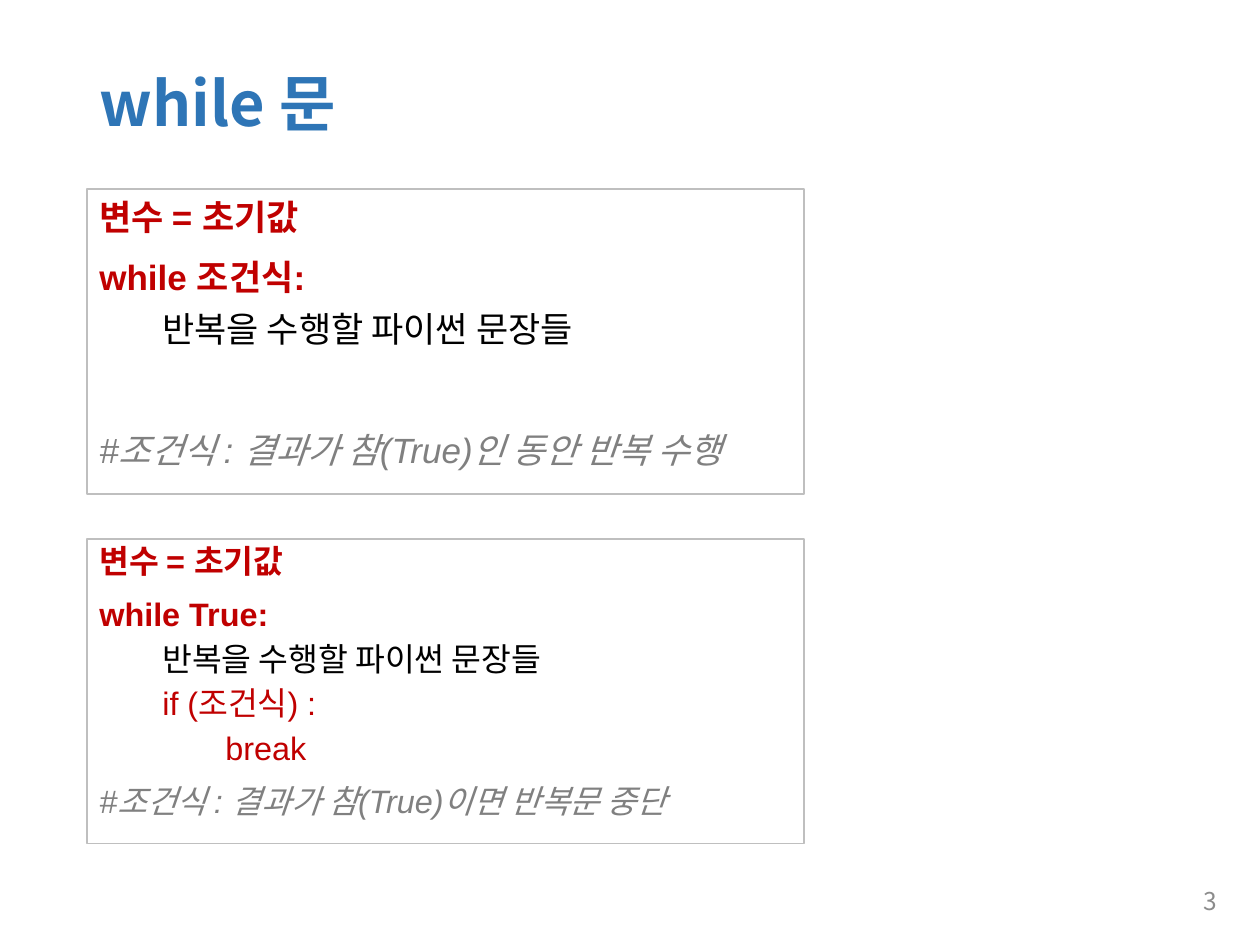
from lxml import etree
from pptx import Presentation
from pptx import util as u
from pptx.dml import color
from pptx.enum import shapes, text
from pptx.oxml import ns

PIXEL = 914400 // 126
COLORS = {
    "title": "2E75B6",
    "keyword": "C00000",
    "body": "000000",
    "comment": "808080",
    "border": "BFBFBF",
    "number": "8C8C8C",
}
KOREAN = "Noto Sans CJK KR"
STYLES = {
    "keyword": dict(bold=True, italic=False),
    "body": dict(bold=False, italic=False),
    "comment": dict(bold=False, italic=True),
}
INDENT = 63


def rgb(name):
    return color.RGBColor.from_string(COLORS[name])


def set_attributes(target, values):
    for name, value in values.items():
        setattr(target, name, value)


def place(shape, box):
    names = ("left", "top", "width", "height")
    set_attributes(shape, {name: value * PIXEL for name, value in zip(names, box)})


def write(paragraph, words, color_name, latin, size, **font_values):
    run = paragraph.add_run()
    run.text = words
    run.font.color.rgb = rgb(color_name)
    set_attributes(run.font, dict(name=latin, size=u.Pt(size), **font_values))
    east_asian = etree.SubElement(run.font._element, ns.qn("a:ea"))
    east_asian.set("typeface", KOREAN)


def add_title(slide, box, words):
    title = slide.shapes.title
    place(title, box)
    frame = title.text_frame
    set_attributes(frame, dict(
        vertical_anchor=text.MSO_ANCHOR.MIDDLE, word_wrap=True,
        auto_size=text.MSO_AUTO_SIZE.NONE))
    paragraph = frame.paragraphs[0]
    set_attributes(paragraph, dict(alignment=text.PP_ALIGN.LEFT, line_spacing=0.9))
    write(paragraph, words, "title", KOREAN, 35, bold=True)


def add_code_box(slide, box, size, line_spacing, lines):
    shape = slide.shapes.add_shape(shapes.MSO_SHAPE.RECTANGLE, 0, 0, 0, 0)
    place(shape, box)
    shape.shadow.inherit = False
    shape.fill.background()
    shape.line.color.rgb = rgb("border")
    shape.line.width = u.Pt(0.75)
    frame = shape.text_frame
    set_attributes(frame, dict(vertical_anchor=text.MSO_ANCHOR.TOP, word_wrap=True))
    for index, (words, color_name, style, level, before) in enumerate(lines):
        paragraph = frame.add_paragraph() if index else frame.paragraphs[0]
        set_attributes(paragraph, dict(
            alignment=text.PP_ALIGN.LEFT, level=level, line_spacing=line_spacing,
            space_before=u.Pt(before), space_after=u.Pt(0.5)))
        properties = paragraph._p.get_or_add_pPr()
        properties.set("marL", str(level * INDENT * PIXEL))
        properties.set("indent", "0")
        write(paragraph, words, color_name, "Arial", size, **STYLES[style])


def add_page_number(slide, box, number):
    shape = slide.shapes.add_textbox(0, 0, 0, 0)
    place(shape, box)
    frame = shape.text_frame
    set_attributes(frame, dict(vertical_anchor=text.MSO_ANCHOR.MIDDLE, word_wrap=True))
    paragraph = frame.paragraphs[0]
    paragraph.alignment = text.PP_ALIGN.RIGHT
    write(paragraph, number, "number", KOREAN, 14)


presentation = Presentation()
presentation.slide_width = 1260 * PIXEL
presentation.slide_height = 945 * PIXEL
slide = presentation.slides.add_slide(presentation.slide_layouts[5])

add_title(slide, (87, 50, 1086, 114), "while 문")
add_code_box(slide, (87, 189, 717, 305), 20, 1.0, [
    ("변수 = 초기값", "keyword", "keyword", 0, 10),
    ("while 조건식:", "keyword", "keyword", 0, 10),
    ("반복을 수행할 파이썬 문장들", "body", "body", 1, 5),
    ("#조건식 : 결과가 참(True)인 동안 반복 수행", "comment", "comment", 0, 45),
])
add_code_box(slide, (87, 539, 717, 305), 18.5, 0.9, [
    ("변수 = 초기값", "keyword", "keyword", 0, 10),
    ("while True:", "keyword", "keyword", 0, 10),
    ("반복을 수행할 파이썬 문장들", "body", "body", 1, 5),
    ("if (조건식) :", "keyword", "body", 1, 5),
    ("\tbreak", "keyword", "body", 1, 5),
    ("#조건식 : 결과가 참(True)이면 반복문 중단", "comment", "comment", 0, 10),
])
add_page_number(slide, (945, 876, 284, 50), "3")

presentation.save("out.pptx")
